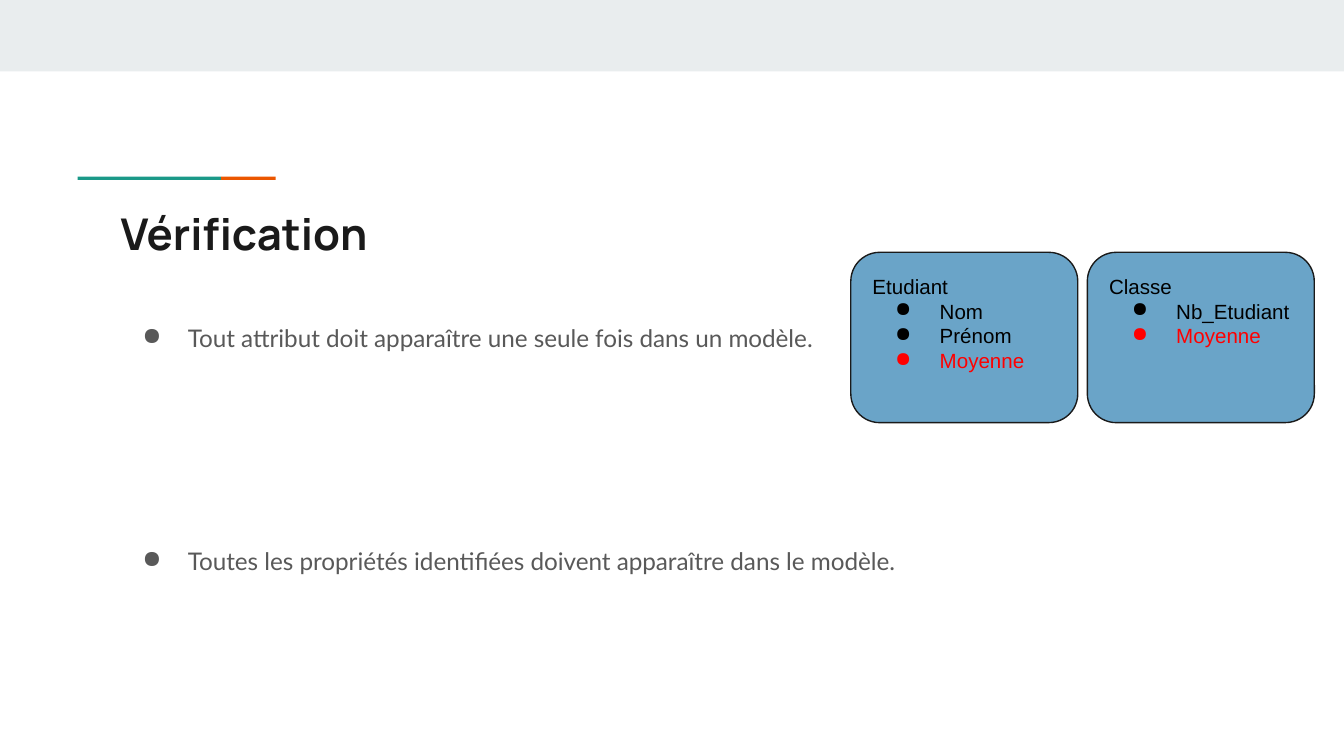
from dataclasses import dataclass

from lxml import etree
from pptx import Presentation
from pptx.dml.color import RGBColor
from pptx.enum import shapes, text
from pptx.oxml import ns
from pptx.util import Cm, Pt

COLOURS = {
    "band": "E9EDEE",
    "teal": "1A9988",
    "orange": "EB5600",
    "ink": "1A1A1A",
    "body": "595959",
    "card": "6AA4C8",
    "black": "000000",
    "red": "FF0000",
}
INSET = 0.25
BULLET_MARGIN = 1.27


@dataclass(frozen=True)
class Box:
    left: float
    top: float
    width: float
    height: float

    def lengths(self) -> tuple:
        return Cm(self.left), Cm(self.top), Cm(self.width), Cm(self.height)


@dataclass(frozen=True)
class Line:
    wording: str
    font: str
    size: float
    colour: str
    bold: bool = False
    hanging: float = 0
    spacing: float = 1
    before: float = 0


@dataclass(frozen=True)
class Entity:
    name: str
    attributes: tuple


def colour(name: str) -> RGBColor:
    return RGBColor.from_string(COLOURS[name])


def add_bullet(paragraph, hanging: float, name: str) -> None:
    properties = paragraph._p.get_or_add_pPr()
    properties.set("marL", str(Cm(BULLET_MARGIN)))
    properties.set("indent", str(-Cm(hanging)))
    bullet_colour = etree.SubElement(properties, ns.qn("a:buClr"))
    etree.SubElement(bullet_colour, ns.qn("a:srgbClr"), val=COLOURS[name])
    etree.SubElement(properties, ns.qn("a:buChar"), char="●")


def write_lines(shape, lines: list[Line]) -> None:
    frame = shape.text_frame
    frame.word_wrap = True
    frame.vertical_anchor = text.MSO_ANCHOR.TOP
    frame.margin_left = frame.margin_right = Cm(INSET)
    frame.margin_top = frame.margin_bottom = Cm(INSET)
    for index, line in enumerate(lines):
        paragraph = frame.add_paragraph() if index else frame.paragraphs[0]
        paragraph.text = line.wording
        paragraph.alignment = text.PP_ALIGN.LEFT
        paragraph.line_spacing = line.spacing
        if line.before:
            paragraph.space_before = Pt(line.before)
        if line.hanging:
            add_bullet(paragraph, line.hanging, line.colour)
        paragraph.font.name = line.font
        paragraph.font.size = Pt(line.size)
        paragraph.font.bold = line.bold
        paragraph.font.color.rgb = colour(line.colour)


def add_text(slide, box: Box, lines: list[Line]) -> None:
    write_lines(slide.shapes.add_textbox(*box.lengths()), lines)


def add_filled(slide, kind, box: Box, fill: str):
    shape = slide.shapes.add_shape(kind, *box.lengths())
    shape.shadow.inherit = False
    shape.fill.solid()
    shape.fill.fore_color.rgb = colour(fill)
    shape.line.fill.background()
    return shape


def add_entity(slide, box: Box, entity: Entity) -> None:
    card = add_filled(slide, shapes.MSO_SHAPE.ROUNDED_RECTANGLE, box, "card")
    card.adjustments[0] = 0.17
    card.line.color.rgb = colour("ink")
    card.line.width = Pt(0.75)
    lines = [Line(entity.name, "Arial", 11, "black")]
    for attribute in entity.attributes:
        name = "red" if attribute == "Moyenne" else "black"
        lines.append(Line(attribute, "Arial", 11, name, hanging=0.84))
    write_lines(card, lines)


def main() -> None:
    presentation = Presentation()
    presentation.slide_width = Cm(25.4)
    presentation.slide_height = Cm(14.29)
    slide = presentation.slides.add_slide(presentation.slide_layouts[6])

    bars = [
        (Box(0, 0, 25.4, 1.35), "band"),
        (Box(1.47, 3.34, 2.71, 0.06), "teal"),
        (Box(4.18, 3.34, 1.03, 0.06), "orange"),
    ]
    for box, fill in bars:
        add_filled(slide, shapes.MSO_SHAPE.RECTANGLE, box, fill)

    title = Line("Vérification", "Manrope", 23.4, "ink", bold=True)
    add_text(slide, Box(2.03, 3.66, 21.36, 1.5), [title])

    rules = [
        ("Tout attribut doit apparaître une seule fois dans un modèle.", 0),
        ("Toutes les propriétés identifiées doivent apparaître dans le modèle.", 102),
    ]
    add_text(slide, Box(2.03, 5.77, 21.36, 6.27), [
        Line(wording, "Lato", 13, "body", hanging=0.86, spacing=1.15, before=before)
        for wording, before in rules
    ])

    entities = [
        Entity("Etudiant", ("Nom", "Prénom", "Moyenne")),
        Entity("Classe", ("Nb_Etudiant", "Moyenne")),
    ]
    for column, entity in enumerate(entities):
        add_entity(slide, Box(16.08 + 4.47 * column, 4.77, 4.29, 3.22), entity)

    presentation.save("out.pptx")


if __name__ == "__main__":
    main()
